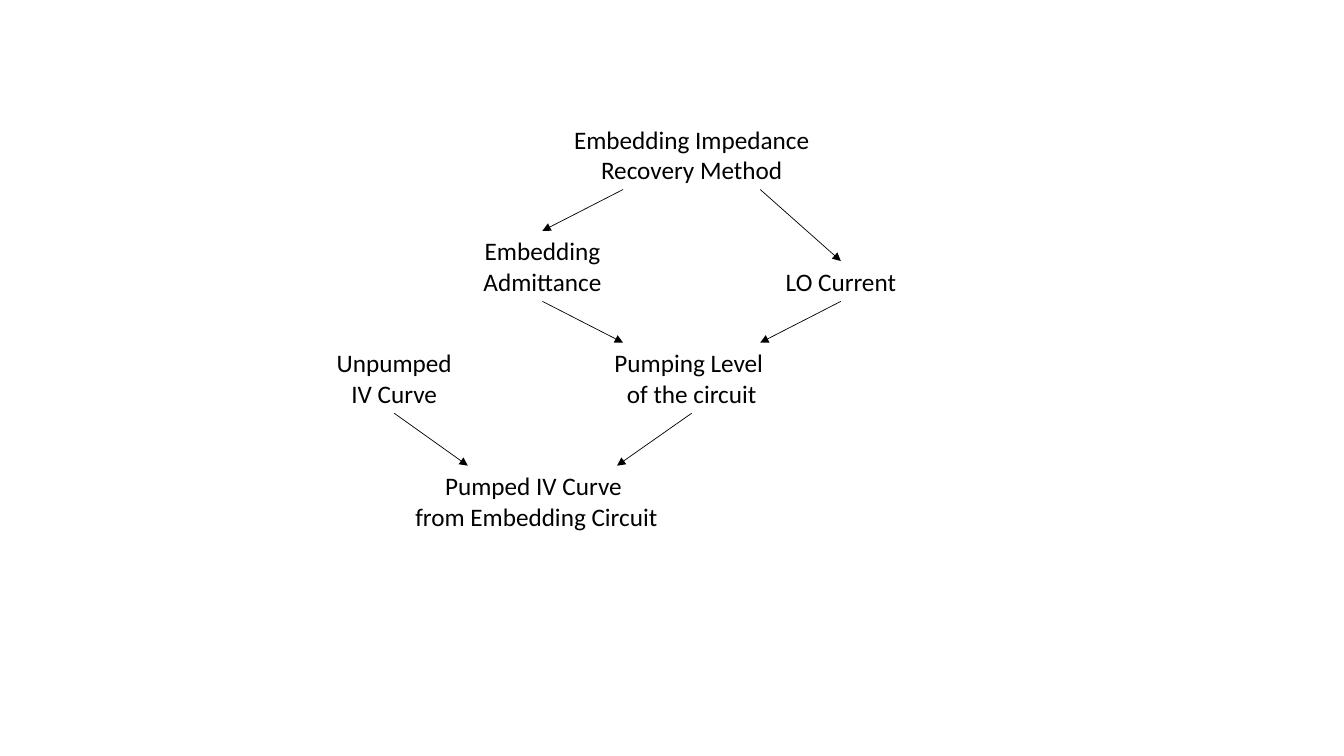
"""Flow diagram from the embedding impedance recovery method to the pumped IV curve."""
from typing import NamedTuple

from lxml import etree
from pptx import Presentation
from pptx.dml.color import RGBColor
from pptx.enum import shapes, text
from pptx.oxml import ns
from pptx.util import Inches, Pt

BLACK = RGBColor(0, 0, 0)
FONT = "Calibri"
NARROW, WIDE = 1.48, 2.61
ROW_TOPS = (1.18, 2.29, 3.4, 4.62)
HEIGHT = 0.7
SINGLE_HEIGHT = 0.4


class Label(NamedTuple):
    """A step of the diagram, bottom-aligned in its row."""
    lines: tuple[str, ...]
    center: float
    row: int
    width: float
    height: float = HEIGHT

    @property
    def bottom(self) -> float:
        return ROW_TOPS[self.row] + HEIGHT

    @property
    def top(self) -> float:
        return self.bottom - self.height


class Arrow(NamedTuple):
    """An arrow between two steps, with offsets from their centres."""
    source: Label
    target: Label
    source_dx: float = 0
    target_dx: float = 0


METHOD = Label(("Embedding Impedance Recovery Method",), 6.86, 0, WIDE)
ADMITTANCE = Label(("Embedding Admittance",), 5.38, 1, NARROW)
LO_CURRENT = Label(("LO Current",), 8.34, 1, NARROW, SINGLE_HEIGHT)
UNPUMPED = Label(("Unpumped IV Curve",), 3.91, 2, NARROW)
PUMPING = Label(("Pumping Level ", "of the circuit"), 6.86, 2, WIDE)
PUMPED = Label(("Pumped IV Curve ", "from Embedding Circuit"), 5.32, 3, WIDE)
LABELS = (METHOD, ADMITTANCE, LO_CURRENT, UNPUMPED, PUMPING, PUMPED)

ARROWS = (
    Arrow(METHOD, ADMITTANCE, source_dx=-0.68),
    Arrow(METHOD, LO_CURRENT, source_dx=0.68),
    Arrow(ADMITTANCE, PUMPING, target_dx=-0.68),
    Arrow(LO_CURRENT, PUMPING, target_dx=0.68),
    Arrow(UNPUMPED, PUMPED, target_dx=-0.68),
    Arrow(PUMPING, PUMPED, target_dx=0.8),
)


def write(p, content: str, *, size: int = 18, color: RGBColor = BLACK) -> None:
    """Write centred text into a paragraph."""
    p.alignment = text.PP_ALIGN.CENTER
    r = p.add_run()
    r.text = content
    r.font.name = FONT
    r.font.size = Pt(size)
    r.font.color.rgb = color


def add_label(s, label: Label) -> None:
    """Add the text box of one step."""
    sp = s.shapes.add_textbox(
        Inches(label.center - label.width / 2), Inches(label.top),
        Inches(label.width), Inches(label.height))
    tf = sp.text_frame
    tf.word_wrap = True
    tf.auto_size = text.MSO_AUTO_SIZE.SHAPE_TO_FIT_TEXT
    for i, line in enumerate(label.lines):
        write(tf.add_paragraph() if i else tf.paragraphs[0], line)


def add_arrow(s, arrow: Arrow) -> None:
    """Add an arrow from the bottom of one step to the top of another."""
    source, target = arrow.source, arrow.target
    sp = s.shapes.add_connector(
        shapes.MSO_CONNECTOR.STRAIGHT,
        Inches(source.center + arrow.source_dx), Inches(source.bottom),
        Inches(target.center + arrow.target_dx), Inches(target.top))
    sp.line.color.rgb = BLACK
    sp.line.width = Pt(0.5)
    etree.SubElement(sp.line._get_or_add_ln(), ns.qn("a:tailEnd"), type="triangle")
    etree.SubElement(sp._element.spPr, ns.qn("a:effectLst"))


def main() -> None:
    """Build and save the slide."""
    prs = Presentation()
    prs.slide_width, prs.slide_height = Inches(13.33), Inches(7.5)
    s = prs.slides.add_slide(prs.slide_layouts[6])
    for label in LABELS:
        add_label(s, label)
    for arrow in ARROWS:
        add_arrow(s, arrow)
    prs.save("out.pptx")


main()
